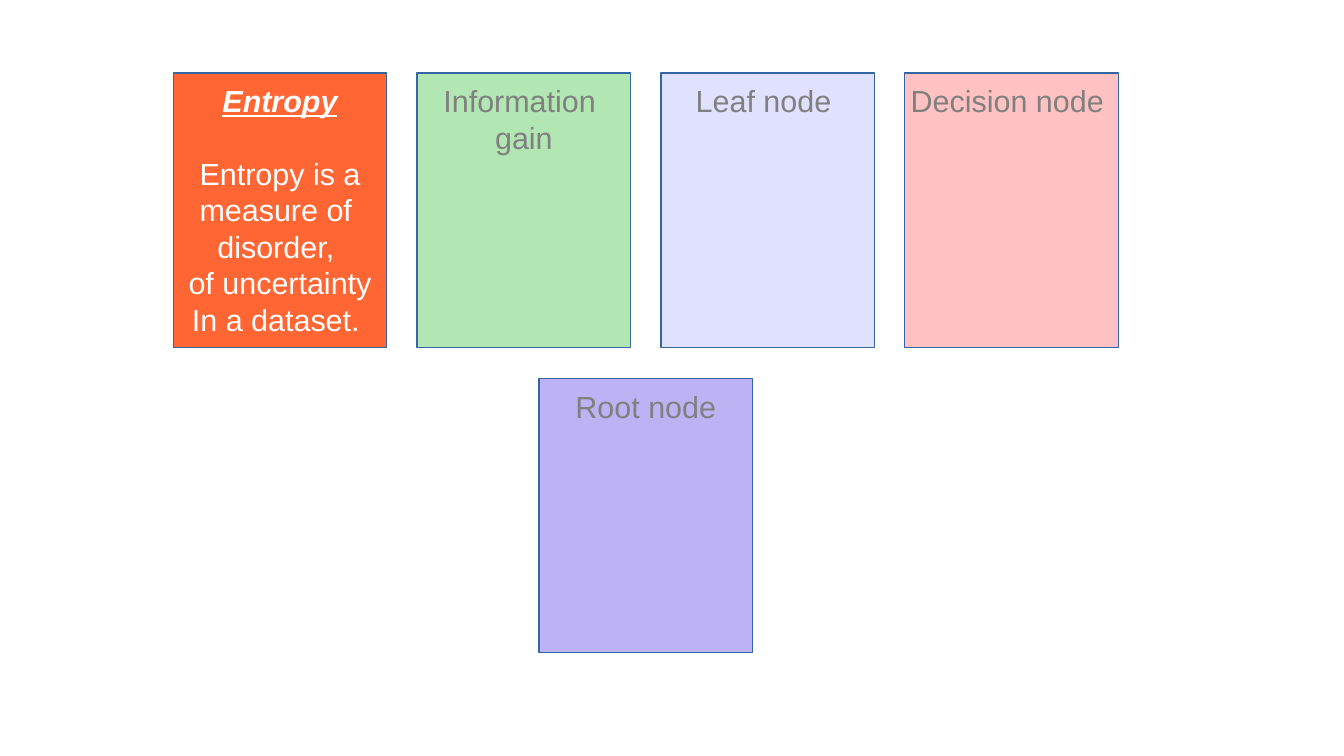
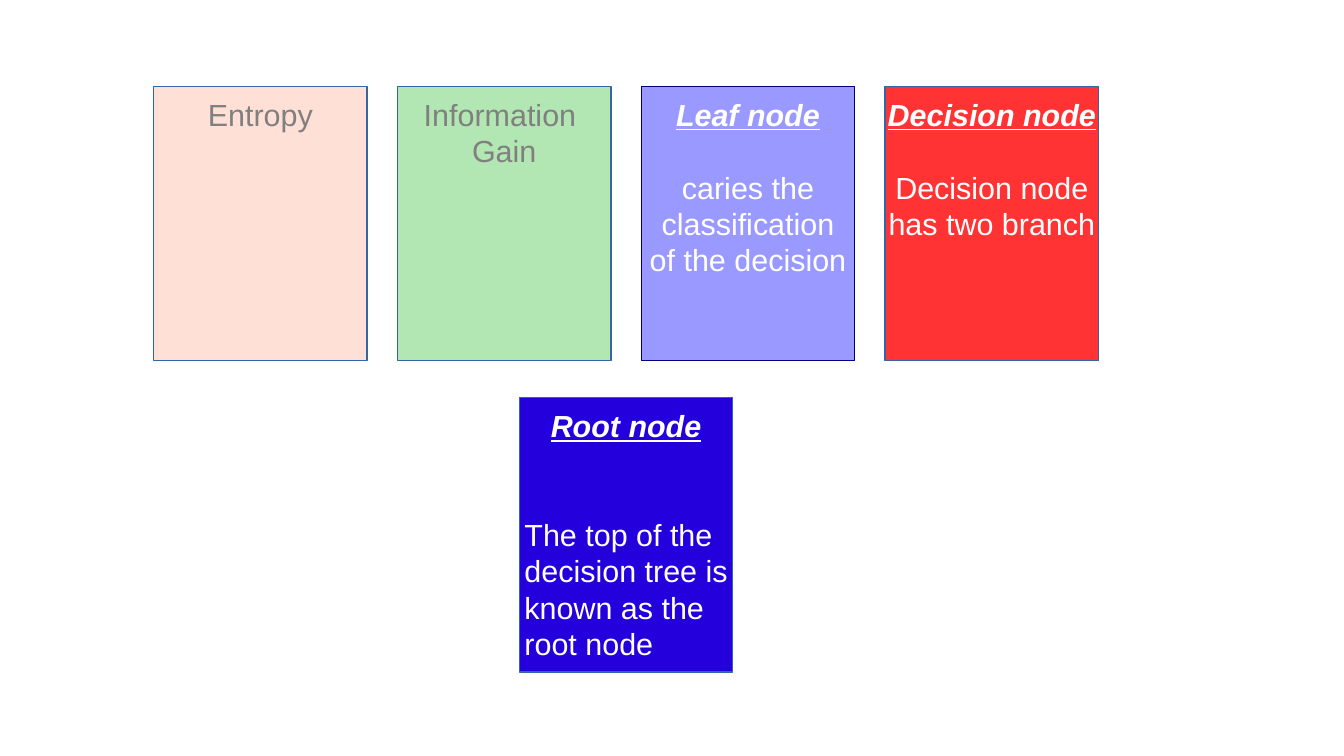
"""Build two slides of decision tree flash cards."""
from dataclasses import dataclass

from lxml import etree
from pptx import Presentation
from pptx import util as u
from pptx.dml.color import RGBColor
from pptx.enum import shapes, text
from pptx.oxml.ns import qn

FONT, SIZE, LINE_PITCH = "Arial", u.Pt(18), 21.5
CARD_WIDTH, CARD_HEIGHT, CARD_STEP = 4.45, 5.72, 5.08
ORANGE, GREEN, LILAC, RED, BLUE = "FF6633", "00AE00", "9999FF", "FF3333", "2300DC"
WHITE, GREY, EDGE, NAVY = "FFFFFF", "808080", "3465A4", "000080"


@dataclass
class Card:
    """Wording and look of one card; a card with a body is revealed."""
    heading: tuple
    colour: str
    body: tuple = ()
    opacity: int = 30
    edge: str = EDGE
    body_align: text.PP_ALIGN = text.PP_ALIGN.CENTER
    gap_lines: int = 1


def rgb(value):
    """Turn a hex string into a colour."""
    return RGBColor.from_string(value)


def fill_card(box, card):
    """Fill and outline a card, see-through while it is not revealed."""
    box.shadow.inherit = False
    box.fill.solid()
    box.fill.fore_color.rgb = rgb(card.colour)
    if not card.body:
        colour = box.fill._xPr.find(qn("a:solidFill")).find(qn("a:srgbClr"))
        etree.SubElement(colour, qn("a:alpha"), val=str(card.opacity * 1000))
    box.line.color.rgb = rgb(card.edge)
    box.line.width = 0


def write_card(frame, card):
    """Write the heading lines and the body lines of a card."""
    frame.word_wrap = False
    frame.vertical_anchor = text.MSO_ANCHOR.TOP
    frame.margin_top = u.Cm(0.2)
    revealed = bool(card.body)
    for index, line in enumerate(card.heading + card.body):
        para = frame.add_paragraph() if index else frame.paragraphs[0]
        is_heading = index < len(card.heading)
        para.text = line
        para.alignment = text.PP_ALIGN.CENTER if is_heading else card.body_align
        para.line_spacing = u.Pt(LINE_PITCH)
        if index == len(card.heading):
            para.space_before = u.Pt(LINE_PITCH * card.gap_lines)
        font = para.font
        font.name, font.size = FONT, SIZE
        font.color.rgb = rgb(WHITE if revealed else GREY)
        font.bold = font.italic = font.underline = revealed and is_heading


def add_card(page, left, top, card):
    """Place one card, given its corner in centimetres."""
    box = page.shapes.add_shape(
        shapes.MSO_SHAPE.RECTANGLE, u.Cm(left), u.Cm(top),
        u.Cm(CARD_WIDTH), u.Cm(CARD_HEIGHT))
    fill_card(box, card)
    write_card(box.text_frame, card)


def add_card_slide(deck, left, top, row_gap, cards):
    """Lay out a row of cards with the last card centred below it."""
    page = deck.slides.add_slide(deck.slide_layouts[6])
    *row, last = cards
    for column, card in enumerate(row):
        add_card(page, left + column * CARD_STEP, top, card)
    add_card(page, left + (len(row) - 1) / 2 * CARD_STEP,
             top + CARD_HEIGHT + row_gap, last)


def main():
    """Build and save the deck."""
    deck = Presentation()
    deck.slide_width, deck.slide_height = u.Cm(28), u.Cm(15.75)
    add_card_slide(deck, 3.61, 1.52, 0.64, [
        Card(("Entropy",), ORANGE,
             ("Entropy is a", "measure of ", "disorder, ",
              "of uncertainty", "In a dataset. ")),
        Card(("Information ", "gain"), GREEN),
        Card(("Leaf node ",), LILAC),
        Card(("Decision node ",), RED),
        Card(("Root node",), BLUE),
    ])
    add_card_slide(deck, 3.2, 1.8, 0.76, [
        Card(("Entropy",), ORANGE, opacity=20),
        Card(("Information ", "Gain"), GREEN),
        Card(("Leaf node",), LILAC,
             ("caries the", "classification", "of the decision"), edge=NAVY),
        Card(("Decision node",), RED, ("Decision node", "has two branch")),
        Card(("Root node",), BLUE,
             ("The top of the", "decision tree is", "known as the", "root node"),
             body_align=text.PP_ALIGN.LEFT, gap_lines=2),
    ])
    deck.save("out.pptx")


if __name__ == "__main__":
    main()
